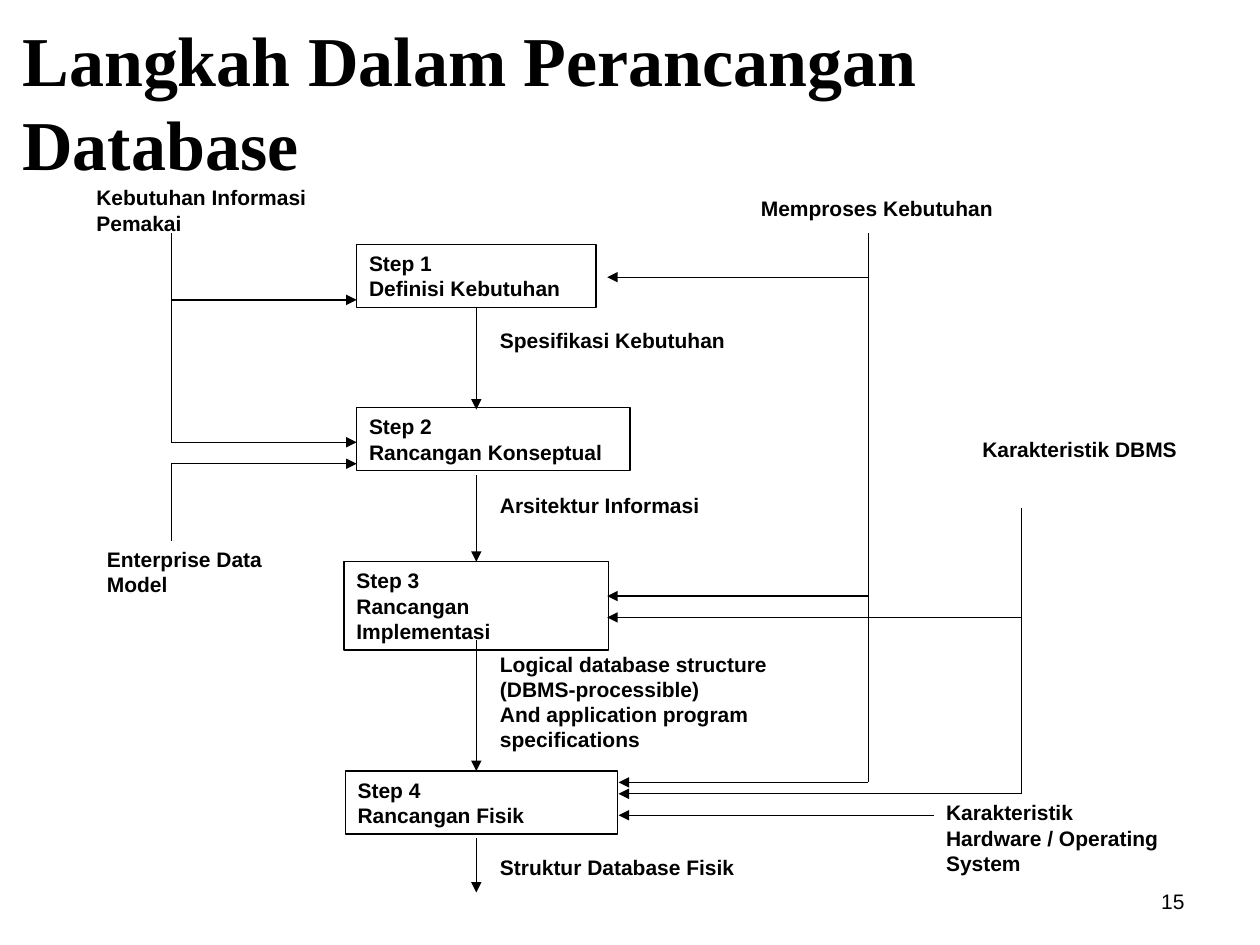
from dataclasses import dataclass

from lxml.etree import SubElement
from pptx import Presentation
from pptx.dml.color import RGBColor
from pptx.enum.shapes import MSO_CONNECTOR as Connector, MSO_SHAPE as Shape
from pptx.enum.text import MSO_ANCHOR as Anchor, PP_ALIGN as Align
from pptx.oxml.ns import qn
from pptx.util import Pt

TOP, BOTTOM = 0, 2


@dataclass(frozen=True)
class Theme:
    ink: RGBColor = RGBColor(0, 0, 0)
    paper: RGBColor = RGBColor(255, 255, 255)
    title_font: str = "Times New Roman"
    body_font: str = "Arial"
    title_size: float = 40
    body_size: float = 12
    line_width: float = 0.75


class FlowPage:
    def __init__(self, page, theme):
        self.page = page
        self.theme = theme

    def set_text(self, shape, text, font=None, size=None, bold=True,
                 align=Align.LEFT, anchor=Anchor.TOP, wrap=True):
        frame = shape.text_frame
        frame.word_wrap = wrap
        frame.vertical_anchor = anchor
        frame.text = text
        for para in frame.paragraphs:
            para.alignment = align
            para.font.name = font or self.theme.body_font
            para.font.size = Pt(size or self.theme.body_size)
            para.font.bold = bold
            para.font.color.rgb = self.theme.ink

    def label(self, text, left, top, width, height, **style):
        box = self.page.shapes.add_textbox(Pt(left), Pt(top), Pt(width), Pt(height))
        self.set_text(box, text, **style)

    def title(self, text, left, top, width, height):
        self.label(text, left, top, width, height, font=self.theme.title_font,
                   size=self.theme.title_size, anchor=Anchor.MIDDLE)

    def step(self, text, left, top, width, height):
        box = self.page.shapes.add_shape(
            Shape.RECTANGLE, Pt(left), Pt(top), Pt(width), Pt(height))
        box.shadow.inherit = False
        box.fill.solid()
        box.fill.fore_color.rgb = self.theme.paper
        box.line.color.rgb = self.theme.ink
        box.line.width = Pt(self.theme.line_width)
        self.set_text(box, text)
        return box

    def line(self, x1, y1, x2, y2):
        link = self.page.shapes.add_connector(
            Connector.STRAIGHT, Pt(x1), Pt(y1), Pt(x2), Pt(y2))
        link.line.color.rgb = self.theme.ink
        link.line.width = Pt(self.theme.line_width)
        SubElement(link.element.spPr, qn("a:effectLst"))
        return link

    def arrow(self, x1, y1, x2, y2):
        link = self.line(x1, y1, x2, y2)
        SubElement(link.element.spPr.find(qn("a:ln")), qn("a:tailEnd"), type="triangle")
        return link


def main():
    deck = Presentation()
    deck.slide_width, deck.slide_height = Pt(720), Pt(540)
    flow = FlowPage(deck.slides.add_slide(deck.slide_layouts[6]), Theme())

    flow.title("Langkah Dalam Perancangan Database", 5.8, 28, 665, 59)
    flow.label("15", 590.4, 500.4, 93.6, 28.8, bold=False,
               align=Align.RIGHT, anchor=Anchor.MIDDLE)

    definition = flow.step("Step 1\nDefinisi Kebutuhan", 203.8, 139.7, 136.8, 36)
    flow.step("Step 2\nRancangan Konseptual", 203.8, 233, 156.2, 36)
    implementation = flow.step(
        "Step 3\nRancangan Implementasi", 196.6, 321, 151.2, 50.5)
    flow.step("Step 4\nRancangan Fisik", 197.3, 440.6, 155.8, 36)

    # Main flow down through the steps
    spine = 272.2
    flow.arrow(spine, 177, spine, 234).begin_connect(definition, BOTTOM)
    flow.arrow(spine, 271.5, spine, 321).end_connect(implementation, TOP)
    flow.arrow(spine, 366, spine, 440.6)
    flow.arrow(spine, 479, spine, 510)

    results = [
        ("Spesifikasi Kebutuhan", 183.6, 143.3, 21.6, False),
        ("Arsitektur Informasi", 277.9, 128.2, 21.6, False),
        ("Logical database structure\n(DBMS-processible)\n"
         "And application program\nspecifications", 368.6, 170, 64.8, False),
        ("Struktur Database Fisik", 484.6, 180.7, 21.6, True),
    ]
    for text, top, width, height, wrap in results:
        flow.label(text, 278.6, top, width, height, wrap=wrap)

    # Each input: its trunk x, start y and end y, then its branches (y, arrow tip x)
    step_left, step_right, last_right = 203.8, 347, 353.5
    inputs = [
        (97.9, 133.2, 252.7, [(171.4, step_left), (252.7, step_left)]),
        (97.9, 308.9, 265, [(265, step_left)]),
        (496.1, 133.2, 447.1,
         [(158.4, step_right), (340.6, step_right), (447.1, last_right)]),
        (583.9, 290.2, 453.6, [(352.8, step_right), (453.6, last_right)]),
    ]
    for trunk, start, end, branches in inputs:
        flow.line(trunk, start, trunk, end)
        for y, tip in branches:
            flow.arrow(trunk, y, tip, y)
    flow.arrow(533.5, 465.9, last_right, 465.9)

    flow.label("Kebutuhan Informasi Pemakai", 48, 102.2, 145.4, 36)
    flow.label("Enterprise Data Model", 54, 308.9, 123.8, 36)
    flow.label("Memproses Kebutuhan", 427.7, 108, 168.5, 21.6)
    flow.label("Karakteristik DBMS", 554.2, 246.2, 147.6, 21.6)
    flow.label("Karakteristik Hardware / Operating\nSystem", 533.5, 453.6, 143.3, 50.4)

    deck.save("out.pptx")


if __name__ == "__main__":
    main()
